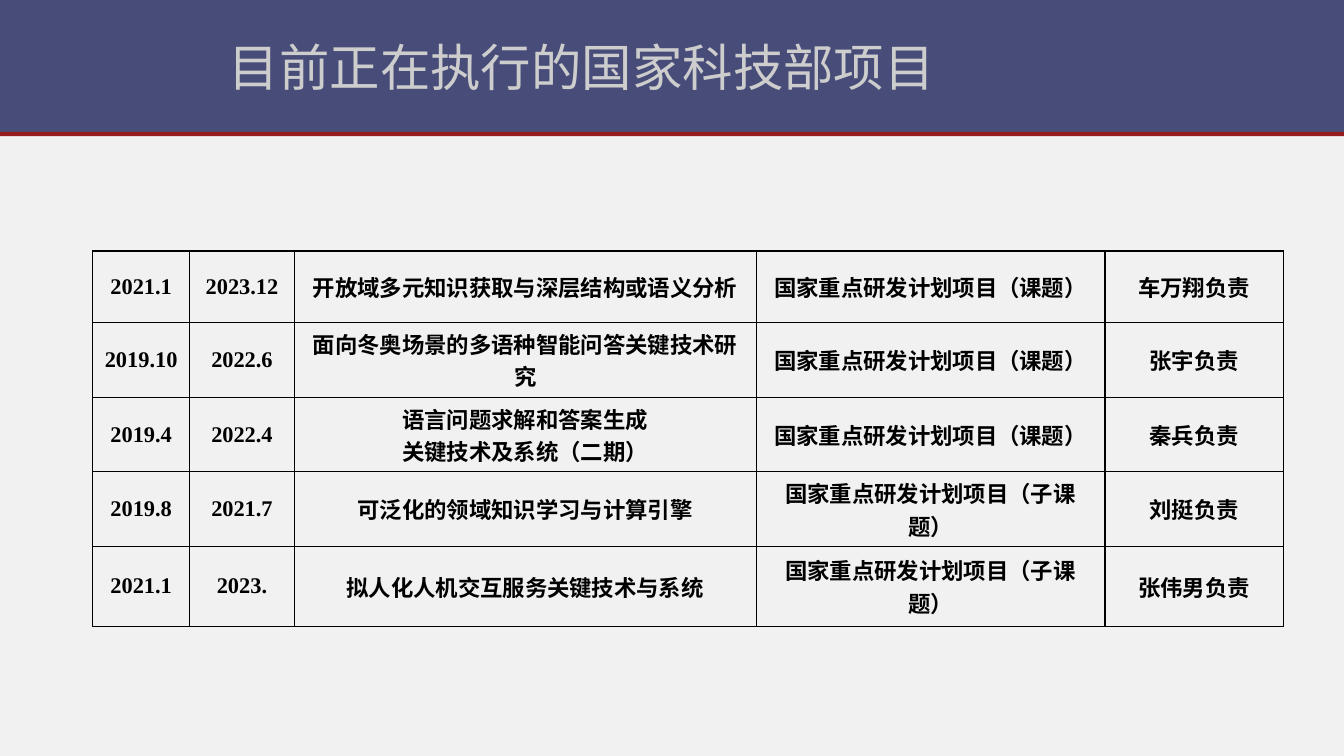
"""Build a slide listing the national science projects under way."""
from lxml import etree
from pptx import Presentation
from pptx.dml.color import RGBColor
from pptx.enum.shapes import MSO_SHAPE
from pptx.enum.text import MSO_ANCHOR, PP_ALIGN
from pptx.oxml.ns import qn
from pptx.util import Inches, Pt

RECTANGLE = MSO_SHAPE.RECTANGLE
MIDDLE = MSO_ANCHOR.MIDDLE
LEFT, CENTER = PP_ALIGN.LEFT, PP_ALIGN.CENTER

TITLE = "目前正在执行的国家科技部项目"
TOPIC = "国家重点研发计划项目（课题）"
SUBTOPIC = "国家重点研发计划项目（子课题）"
PROJECTS = [
    ("2021.1", "2023.12", "开放域多元知识获取与深层结构或语义分析", TOPIC, "车万翔负责"),
    ("2019.10", "2022.6", "面向冬奥场景的多语种智能问答关键技术研究", TOPIC, "张宇负责"),
    ("2019.4", "2022.4", "语言问题求解和答案生成\n关键技术及系统（二期）", TOPIC, "秦兵负责"),
    ("2019.8", "2021.7", "可泛化的领域知识学习与计算引擎", SUBTOPIC, "刘挺负责"),
    ("2021.1", "2023.", "拟人化人机交互服务关键技术与系统", SUBTOPIC, "张伟男负责"),
]
COLORS = {
    "background": "F1F1F1",
    "band": "474C78",
    "rule": "961B1E",
    "title": "CECDCD",
    "text": "000000",
}
HAN_FONT = "Noto Sans CJK SC"
COLUMN_FONTS = ["Times New Roman"] * 2 + ["Arial"] * 3
COLUMN_WIDTHS = [0.96, 1.04, 4.58, 3.46, 1.77]
ROW_HEIGHTS = [0.71] * 4 + [0.79]
TABLE_LEFT, TABLE_TOP = 0.92, 2.49
SLIDE_WIDTH, SLIDE_HEIGHT = 13.33, 7.5
BAND_HEIGHT, RULE_HEIGHT = 1.31, 0.04


def color(name):
    return RGBColor.from_string(COLORS[name])


def write(text_frame, text, size, font, ink, bold=False, align=LEFT):
    """Fill a text frame with one formatted paragraph."""
    paragraph = text_frame.paragraphs[0]
    paragraph.text = text.replace("\n", "\v")
    paragraph.alignment = align
    for run in paragraph.runs:
        run.font.size = Pt(size)
        run.font.bold = bold
        run.font.name = font
        run.font.color.rgb = color(ink)
        east_asian = etree.Element(qn("a:ea"), typeface=HAN_FONT)
        run.font._element.find(qn("a:latin")).addnext(east_asian)


def add_band(slide, top, height, fill):
    """Draw a plain bar across the slide."""
    band = slide.shapes.add_shape(
        RECTANGLE, 0, Inches(top), Inches(SLIDE_WIDTH), Inches(height))
    band.shadow.inherit = False
    band.fill.solid()
    band.fill.fore_color.rgb = color(fill)
    band.line.fill.background()


def add_title(slide):
    """Place the title placeholder in front of the band."""
    title = slide.shapes.title
    title.left, title.top = Inches(2.17), Inches(0.03)
    title.width, title.height = Inches(10.01), Inches(1.25)
    title.text_frame.vertical_anchor = MIDDLE
    write(title.text_frame, TITLE, 36, HAN_FONT, "title")
    title.element.getparent().append(title.element)


def outline(cell):
    """Give a clear cell a thin border on all sides."""
    cell.fill.background()
    properties = cell._tc.get_or_add_tcPr()
    for index, side in enumerate(("a:lnL", "a:lnR", "a:lnT", "a:lnB")):
        line = etree.Element(qn(side), w=str(Pt(1)))
        fill = etree.SubElement(line, qn("a:solidFill"))
        etree.SubElement(fill, qn("a:srgbClr"), val=COLORS["text"])
        properties.insert(index, line)


def add_projects(slide):
    """Add the project table."""
    table = slide.shapes.add_table(
        len(PROJECTS), len(COLUMN_WIDTHS), Inches(TABLE_LEFT), Inches(TABLE_TOP),
        Inches(sum(COLUMN_WIDTHS)), Inches(sum(ROW_HEIGHTS))).table
    table.first_row = table.horz_banding = False
    for column, width in zip(table.columns, COLUMN_WIDTHS):
        column.width = Inches(width)
    for row, height, project in zip(table.rows, ROW_HEIGHTS, PROJECTS):
        row.height = Inches(height)
        for cell, text, font in zip(row.cells, project, COLUMN_FONTS):
            cell.vertical_anchor = MIDDLE
            write(cell.text_frame, text, 16, font, "text", bold=True, align=CENTER)
            outline(cell)


def main():
    presentation = Presentation()
    presentation.slide_width = Inches(SLIDE_WIDTH)
    presentation.slide_height = Inches(SLIDE_HEIGHT)
    slide = presentation.slides.add_slide(presentation.slide_layouts[5])
    slide.background.fill.solid()
    slide.background.fill.fore_color.rgb = color("background")
    add_band(slide, 0, BAND_HEIGHT, "band")
    add_band(slide, BAND_HEIGHT, RULE_HEIGHT, "rule")
    add_title(slide)
    add_projects(slide)
    presentation.save("out.pptx")


if __name__ == "__main__":
    main()
